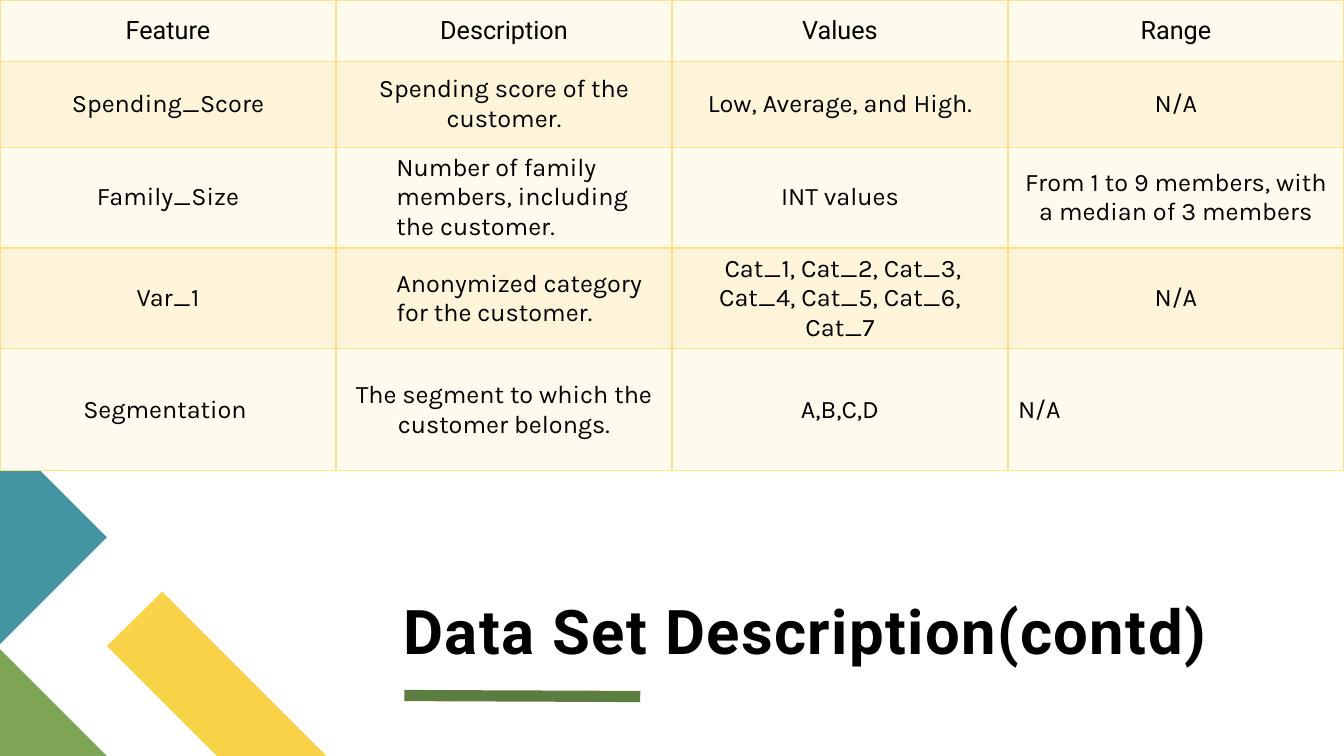
from dataclasses import dataclass

from lxml import etree
from pptx import Presentation
from pptx import util as u
from pptx.dml.color import RGBColor
from pptx.enum import shapes, text
from pptx.oxml import ns


@dataclass(frozen=True)
class Theme:
    ink: str = "000000"
    yellow: str = "F9D448"
    green: str = "7CA655"
    teal: str = "4495A2"
    underline: str = "5D7D40"
    border: str = "FBE284"
    bands: tuple = ("FEFAED", "FDF4D9")
    heading_font: str = "Roboto"
    body_font: str = "Karla"
    title_size: int = 44
    table_size: int = 18


THEME = Theme()
SLIDE_WIDTH, SLIDE_HEIGHT = 13.33, 7.5

FEATURES = [
    ("Feature", "Description", "Values", "Range"),
    ("Spending_Score", "Spending score of the customer.", "Low, Average, and High.", "N/A"),
    ("Family_Size", "Number of family members, including the customer.", "INT values",
     "From 1 to 9 members, with a median of 3 members"),
    ("Var_1", "Anonymized category for the customer.",
     " Cat_1, Cat_2, Cat_3, Cat_4, Cat_5, Cat_6, Cat_7", "N/A"),
    ("Segmentation ", "The segment to which the customer belongs.", "A,B,C,D", "N/A"),
]
ROW_HEIGHTS = (0.61, 0.85, 0.98, 0.98, 1.21)
INDENTED_CELLS = {(2, 1), (3, 1)}
LEFT_CELLS = {(4, 3)}

DECORATIONS = [
    (THEME.yellow, [(3.24, 7.5), (2.15, 7.5), (1.06, 6.41), (1.61, 5.87)]),
    (THEME.green, [(1.06, 7.5), (0, 7.5), (0, 6.44)]),
    (THEME.teal, [(0, 4.27), (1.06, 5.33), (0, 6.39)]),
]


def rgb(color):
    return RGBColor.from_string(color)


def style_font(font, name, size, bold=False):
    font.name = name
    font.size = u.Pt(size)
    font.bold = bold
    font.color.rgb = rgb(THEME.ink)


def add_polygon(slide, color, corners):
    start, *rest = [(u.Inches(x), u.Inches(y)) for x, y in corners]
    outline = slide.shapes.build_freeform(*start)
    outline.add_line_segments(rest, close=True)
    polygon = outline.convert_to_shape()
    polygon.shadow.inherit = False
    polygon.fill.solid()
    polygon.fill.fore_color.rgb = rgb(color)
    polygon.line.fill.background()


def add_underline(slide, start, end):
    underline = slide.shapes.add_connector(
        shapes.MSO_CONNECTOR.STRAIGHT, *(u.Inches(v) for v in (*start, *end)))
    underline.line.color.rgb = rgb(THEME.underline)
    underline.line.width = u.Pt(8)
    etree.SubElement(underline._element.spPr, ns.qn("a:effectLst"))


def add_title(slide, wording, left, top, width, height):
    title = slide.shapes.add_textbox(*(u.Inches(v) for v in (left, top, width, height)))
    frame = title.text_frame
    frame.word_wrap = True
    frame.vertical_anchor = text.MSO_ANCHOR.BOTTOM
    frame.margin_left = frame.margin_right = frame.margin_top = frame.margin_bottom = 0
    heading = frame.paragraphs[0]
    heading.text = wording
    heading.line_spacing = 0.8
    style_font(heading.font, THEME.heading_font, THEME.title_size, bold=True)
    heading._p.get_or_add_pPr().get_or_add_defRPr().set("spc", "100")


def add_borders(cell):
    properties = cell._tc.get_or_add_tcPr()
    for position, side in enumerate(("lnL", "lnR", "lnT", "lnB")):
        edge = etree.Element(ns.qn(f"a:{side}"), w=str(u.Pt(1)))
        fill = etree.SubElement(edge, ns.qn("a:solidFill"))
        etree.SubElement(fill, ns.qn("a:srgbClr"), val=THEME.border)
        properties.insert(position, edge)


def fill_cell(cell, wording, row, column):
    cell.fill.solid()
    cell.fill.fore_color.rgb = rgb(THEME.bands[row % 2])
    add_borders(cell)
    cell.vertical_anchor = text.MSO_ANCHOR.MIDDLE
    entry = cell.text_frame.paragraphs[0]
    entry.text = wording
    style_font(entry.font, THEME.body_font if row else THEME.heading_font, THEME.table_size)
    if (row, column) in INDENTED_CELLS:
        entry._p.get_or_add_pPr().set("marL", str(u.Inches(0.5)))
    elif (row, column) not in LEFT_CELLS:
        entry.alignment = text.PP_ALIGN.CENTER


def add_feature_table(slide):
    features = slide.shapes.add_table(
        len(FEATURES), len(FEATURES[0]), 0, 0,
        u.Inches(SLIDE_WIDTH), u.Inches(sum(ROW_HEIGHTS))).table
    features.first_row = features.horz_banding = False
    for row, (height, wordings) in enumerate(zip(ROW_HEIGHTS, FEATURES)):
        features.rows[row].height = u.Inches(height)
        for column, wording in enumerate(wordings):
            fill_cell(features.cell(row, column), wording, row, column)


def main():
    deck = Presentation()
    deck.slide_width = u.Inches(SLIDE_WIDTH)
    deck.slide_height = u.Inches(SLIDE_HEIGHT)
    slide = deck.slides.add_slide(deck.slide_layouts[6])
    for color, corners in DECORATIONS:
        add_polygon(slide, color, corners)
    add_underline(slide, (4.01, 6.9), (6.35, 6.91))
    add_title(slide, "Data Set Description(contd)", 4, 5.1, 8.68, 1.51)
    add_feature_table(slide)
    deck.save("out.pptx")


if __name__ == "__main__":
    main()
